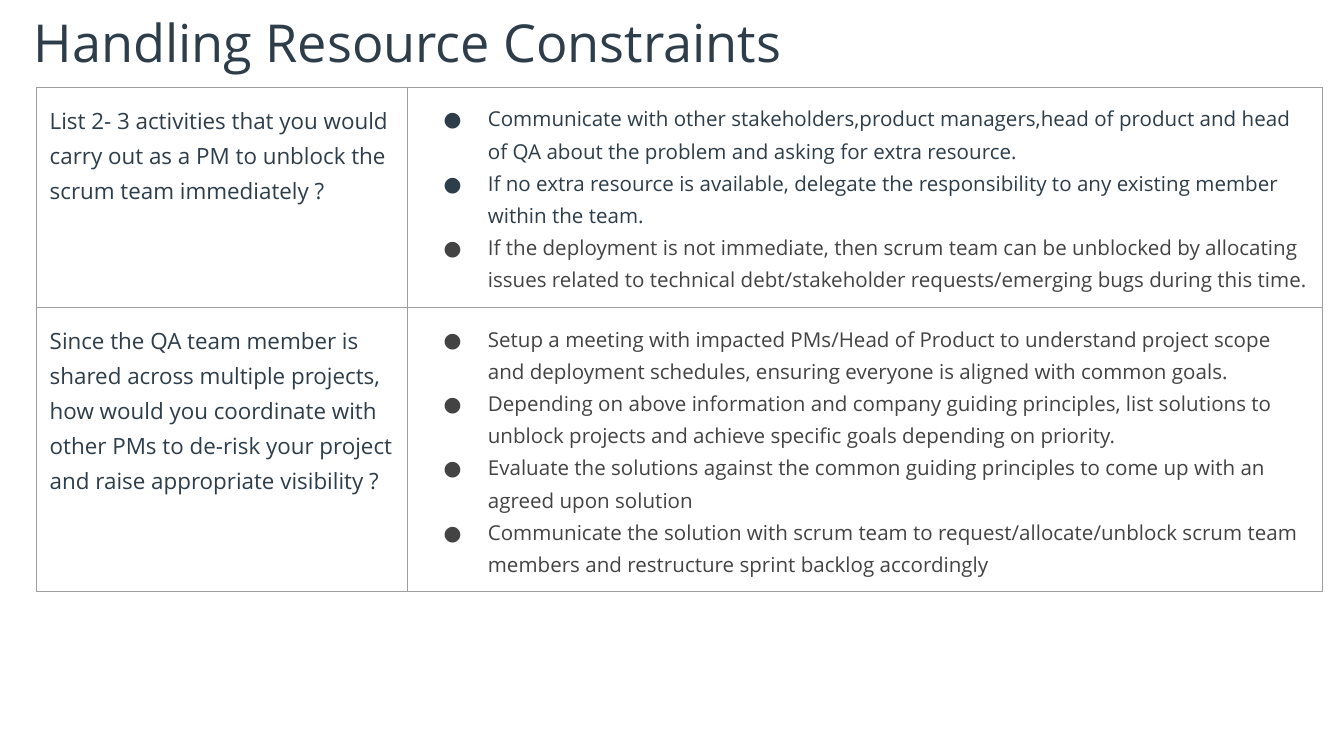
from dataclasses import dataclass

from lxml import etree
from pptx import Presentation
from pptx.dml.color import RGBColor
from pptx.oxml.ns import qn
from pptx.util import Inches, Pt

SLIDE_WIDTH, SLIDE_HEIGHT = Pt(720), Pt(405)
COLUMN_WIDTHS = (2.76, 6.81)
ROW_HEIGHTS = (1.64, 2.11)


@dataclass(frozen=True)
class Theme:
    font: str = "Open Sans"
    navy: str = "2D3D4A"
    gray: str = "434343"
    border: str = "9E9E9E"
    title_size: int = 28
    question_size: int = 12
    answer_size: int = 11
    border_width: float = 0.75
    line_spacing: float = 1.15


THEME = Theme()

ROWS = (
    (
        "List 2- 3 activities that you would carry out as a PM to unblock the scrum team immediately ?",
        (
            ("Communicate with other stakeholders,product managers,head of product and head of QA "
             "about the problem and asking for extra resource.", THEME.navy),
            ("If no extra resource is available, delegate the responsibility to any existing member "
             "within the team.", THEME.navy),
            ("If the deployment is not immediate, then scrum team can be unblocked by allocating issues "
             "related to technical debt/stakeholder requests/emerging bugs during this time.", THEME.gray),
        ),
    ),
    (
        "Since the QA team member is shared across multiple projects, how would you coordinate with "
        "other PMs to de-risk your project and raise appropriate visibility ?",
        (
            ("Setup a meeting with impacted PMs/Head of Product to understand project scope and deployment "
             "schedules, ensuring everyone is aligned with common goals.", THEME.gray),
            ("Depending on above information and company guiding principles, list solutions to unblock "
             "projects and achieve specific goals depending on priority.", THEME.gray),
            ("Evaluate the solutions against the common guiding principles to come up with an agreed upon "
             "solution", THEME.gray),
            ("Communicate the solution with scrum team to request/allocate/unblock scrum team members and "
             "restructure sprint backlog accordingly", THEME.gray),
        ),
    ),
)


def set_margins(holder, margin):
    holder.margin_left = holder.margin_right = margin
    holder.margin_top = holder.margin_bottom = margin


def add_run(paragraph, text, size, color):
    run = paragraph.add_run()
    run.text = text
    run.font.name = THEME.font
    run.font.size = Pt(size)
    run.font.color.rgb = RGBColor.from_string(color)


def add_bullet(paragraph, size, color):
    properties = paragraph._p.get_or_add_pPr()
    properties.set("marL", str(Inches(0.5)))
    properties.set("indent", str(-Inches(0.33)))
    bullet_color = etree.SubElement(properties, qn("a:buClr"))
    etree.SubElement(bullet_color, qn("a:srgbClr"), val=color)
    etree.SubElement(properties, qn("a:buSzPts"), val=str(size * 100))
    etree.SubElement(properties, qn("a:buFont"), typeface=THEME.font)
    etree.SubElement(properties, qn("a:buChar"), char="●")


def add_title(slide, text):
    box = slide.shapes.add_textbox(
        Inches(0.25), Inches(0.08), int(SLIDE_WIDTH * 0.9), Inches(0.5))
    frame = box.text_frame
    frame.word_wrap = True
    set_margins(frame, 0)
    add_run(frame.paragraphs[0], text, THEME.title_size, THEME.navy)


def style_cell(cell):
    set_margins(cell, Inches(0.1))
    properties = cell._tc.get_or_add_tcPr()
    for side in ("lnL", "lnR", "lnT", "lnB"):
        line = etree.SubElement(properties, qn(f"a:{side}"), w=str(Pt(THEME.border_width)))
        fill = etree.SubElement(line, qn("a:solidFill"))
        etree.SubElement(fill, qn("a:srgbClr"), val=THEME.border)
    cell.fill.background()


def fill_cell(cell, items, size, bulleted=False):
    style_cell(cell)
    frame = cell.text_frame
    for index, (text, color) in enumerate(items):
        paragraph = frame.add_paragraph() if index else frame.paragraphs[0]
        if bulleted:
            add_bullet(paragraph, size, color)
        paragraph.line_spacing = THEME.line_spacing
        add_run(paragraph, text, size, color)


def add_question_table(slide, rows):
    table = slide.shapes.add_table(
        len(rows), len(COLUMN_WIDTHS), Inches(0.27), Inches(0.65),
        Inches(sum(COLUMN_WIDTHS)), Inches(sum(ROW_HEIGHTS))).table
    table.first_row = table.horz_banding = False
    for column, width in zip(table.columns, COLUMN_WIDTHS):
        column.width = Inches(width)
    for index, (question, answers) in enumerate(rows):
        table.rows[index].height = Inches(ROW_HEIGHTS[index])
        fill_cell(table.cell(index, 0), [(question, THEME.navy)], THEME.question_size)
        fill_cell(table.cell(index, 1), answers, THEME.answer_size, bulleted=True)


def main():
    presentation = Presentation()
    presentation.slide_width, presentation.slide_height = SLIDE_WIDTH, SLIDE_HEIGHT
    slide = presentation.slides.add_slide(presentation.slide_layouts[6])
    add_title(slide, "Handling Resource Constraints")
    add_question_table(slide, ROWS)
    presentation.save("out.pptx")


if __name__ == "__main__":
    main()
